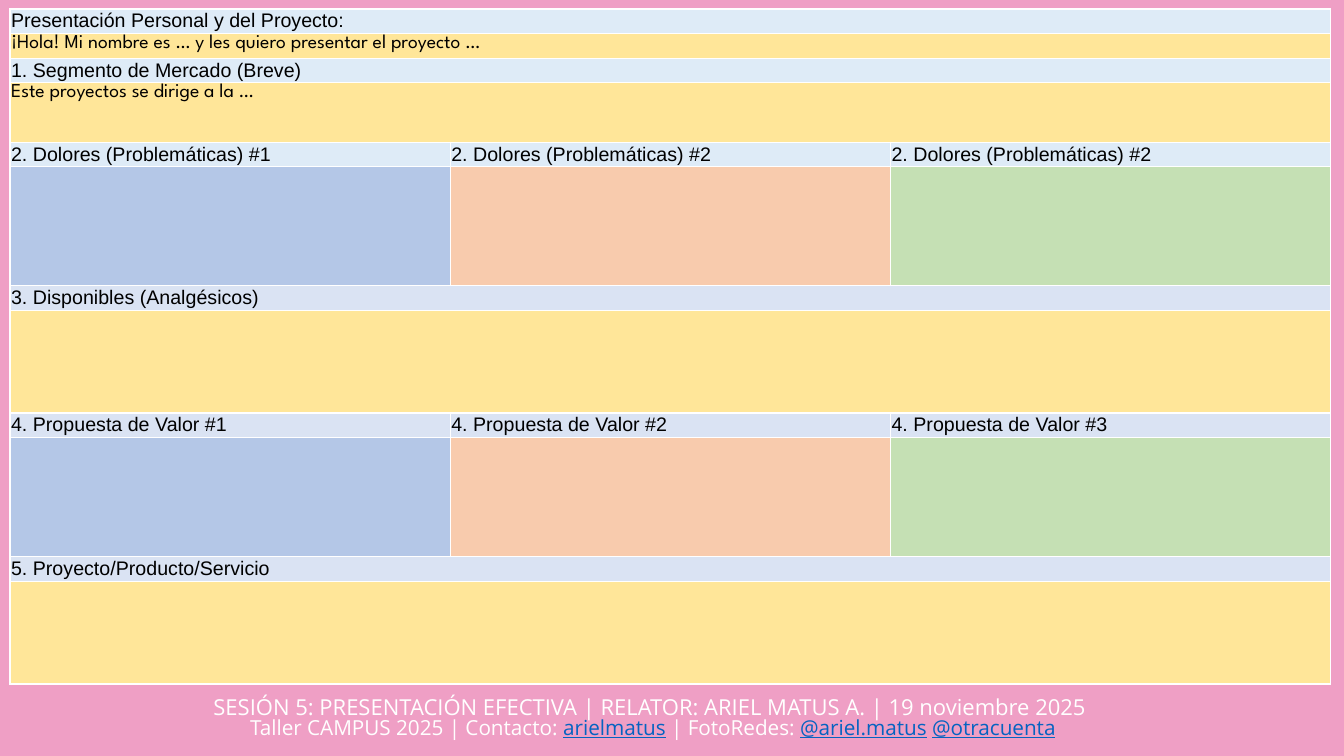
from lxml.etree import SubElement
from pptx import Presentation
from pptx.dml.color import RGBColor
from pptx.enum.text import MSO_ANCHOR, PP_ALIGN
from pptx.oxml.ns import qn
from pptx.util import Inches, Pt

PINK = RGBColor(0xEF, 0x9F, 0xC5)
WHITE = RGBColor(0xFF, 0xFF, 0xFF)
BLACK = RGBColor(0x00, 0x00, 0x00)
LINK_BLUE = RGBColor(0x05, 0x63, 0xC1)
SKY = RGBColor(0xDE, 0xEB, 0xF7)
LAVENDER = RGBColor(0xDA, 0xE3, 0xF3)
YELLOW = RGBColor(0xFF, 0xE6, 0x99)
BLUE = RGBColor(0xB4, 0xC7, 0xE7)
ORANGE = RGBColor(0xF8, 0xCB, 0xAD)
GREEN = RGBColor(0xC5, 0xE0, 0xB4)

HEADING_FONT = "Arial"
ANSWER_FONT = "League Spartan"
FOOTER_FONT = "Open Sans"
HEADING_HEIGHT = 0.23
ANSWERS = [BLUE, ORANGE, GREEN]

CANVAS = [
    (HEADING_HEIGHT, ["Presentación Personal y del Proyecto:"], [SKY], HEADING_FONT),
    (0.18, ["¡Hola! Mi nombre es … y les quiero presentar el proyecto …"], [YELLOW], ANSWER_FONT),
    (HEADING_HEIGHT, ["1. Segmento de Mercado (Breve)"], [SKY], HEADING_FONT),
    (0.59, ["Este proyectos se dirige a la …"], [YELLOW], ANSWER_FONT),
    (HEADING_HEIGHT, [f"2. Dolores (Problemáticas) #{n}" for n in (1, 2, 2)], [SKY] * 3, HEADING_FONT),
    (1.18, [""] * 3, ANSWERS, HEADING_FONT),
    (HEADING_HEIGHT, ["3. Disponibles (Analgésicos)"], [LAVENDER], HEADING_FONT),
    (1.02, [""], [YELLOW], HEADING_FONT),
    (HEADING_HEIGHT, [f"4. Propuesta de Valor #{n}" for n in (1, 2, 3)], [LAVENDER] * 3, HEADING_FONT),
    (1.18, [""] * 3, ANSWERS, HEADING_FONT),
    (HEADING_HEIGHT, ["5. Proyecto/Producto/Servicio"], [LAVENDER], HEADING_FONT),
    (1.02, [""], [YELLOW], HEADING_FONT),
]

FOOTER = [
    (15.7, [("SESIÓN 5: PRESENTACIÓN EFECTIVA | RELATOR: ARIEL MATUS A. | 19 noviembre 2025 ", False)]),
    (14.8, [
        ("Taller CAMPUS 2025 | Contacto: ", False),
        ("arielmatus", True),
        (" | FotoRedes: ", False),
        ("@ariel.matus", True),
        (" ", False),
        ("@otracuenta", True),
    ]),
]


def apply(target, formats):
    for attribute, value in formats.items():
        setattr(target, attribute, value)


class CanvasSlide:
    cell_format = {
        "margin_left": Inches(0.01),
        "margin_right": Inches(0.01),
        "margin_top": Inches(0.01),
        "margin_bottom": 0,
    }
    footer_format = {
        "word_wrap": True,
        "vertical_anchor": MSO_ANCHOR.MIDDLE,
        "margin_left": Inches(0.1),
        "margin_right": Inches(0.1),
        "margin_top": Inches(0.05),
        "margin_bottom": Inches(0.05),
    }

    def __init__(self, deck):
        self.slide = deck.slides.add_slide(deck.slide_layouts[6])

    def background(self, color):
        fill = self.slide.background.fill
        fill.solid()
        fill.fore_color.rgb = color

    def font(self, font, name, size, color, underline=False):
        apply(font, {"name": name, "size": Pt(size), "underline": underline})
        font.color.rgb = color

    def borders(self, cell):
        properties = cell._tc.get_or_add_tcPr()
        for position, side in enumerate(("a:lnL", "a:lnR", "a:lnT", "a:lnB")):
            line = SubElement(properties, qn(side), w=str(Pt(1)))
            fill = SubElement(line, qn("a:solidFill"))
            SubElement(fill, qn("a:srgbClr"), val=str(WHITE))
            properties.insert(position, line)

    def cell(self, cell, text, color, font_name):
        apply(cell, self.cell_format)
        cell.fill.solid()
        cell.fill.fore_color.rgb = color
        paragraph = cell.text_frame.paragraphs[0]
        self.font(paragraph.font, font_name, 14, BLACK)
        if text:
            run = paragraph.add_run()
            run.text = text
            self.font(run.font, font_name, 14, BLACK)

    def table(self, rows, left, top, width):
        height = sum(row[0] for row in rows)
        grid = self.slide.shapes.add_table(
            len(rows), 3, Inches(left), Inches(top), Inches(width), Inches(height)
        ).table
        apply(grid, {"first_row": False, "horz_banding": False})
        for index, (row_height, texts, colors, font_name) in enumerate(rows):
            grid.rows[index].height = Inches(row_height)
            if len(texts) == 1:
                grid.cell(index, 0).merge(grid.cell(index, 2))
            for column, (text, color) in enumerate(zip(texts, colors)):
                self.cell(grid.cell(index, column), text, color, font_name)
            for column in range(3):
                self.borders(grid.cell(index, column))

    def footer(self, lines, left, top, width, height):
        frame = self.slide.shapes.add_textbox(
            Inches(left), Inches(top), Inches(width), Inches(height)
        ).text_frame
        apply(frame, self.footer_format)
        for index, (size, pieces) in enumerate(lines):
            paragraph = frame.add_paragraph() if index else frame.paragraphs[0]
            apply(paragraph, {"alignment": PP_ALIGN.CENTER, "line_spacing": 0.8})
            for text, is_handle in pieces:
                run = paragraph.add_run()
                run.text = text
                color = LINK_BLUE if is_handle else WHITE
                self.font(run.font, FOOTER_FONT, size, color, is_handle)


def main():
    deck = Presentation()
    apply(deck, {"slide_width": Inches(13.33), "slide_height": Inches(7.5)})
    pitch = CanvasSlide(deck)
    pitch.background(PINK)
    pitch.footer(FOOTER, 0.92, 6.87, 11.11, 0.52)
    pitch.table(CANVAS, 0.1, 0.09, 13.1)
    deck.save("out.pptx")


if __name__ == "__main__":
    main()
